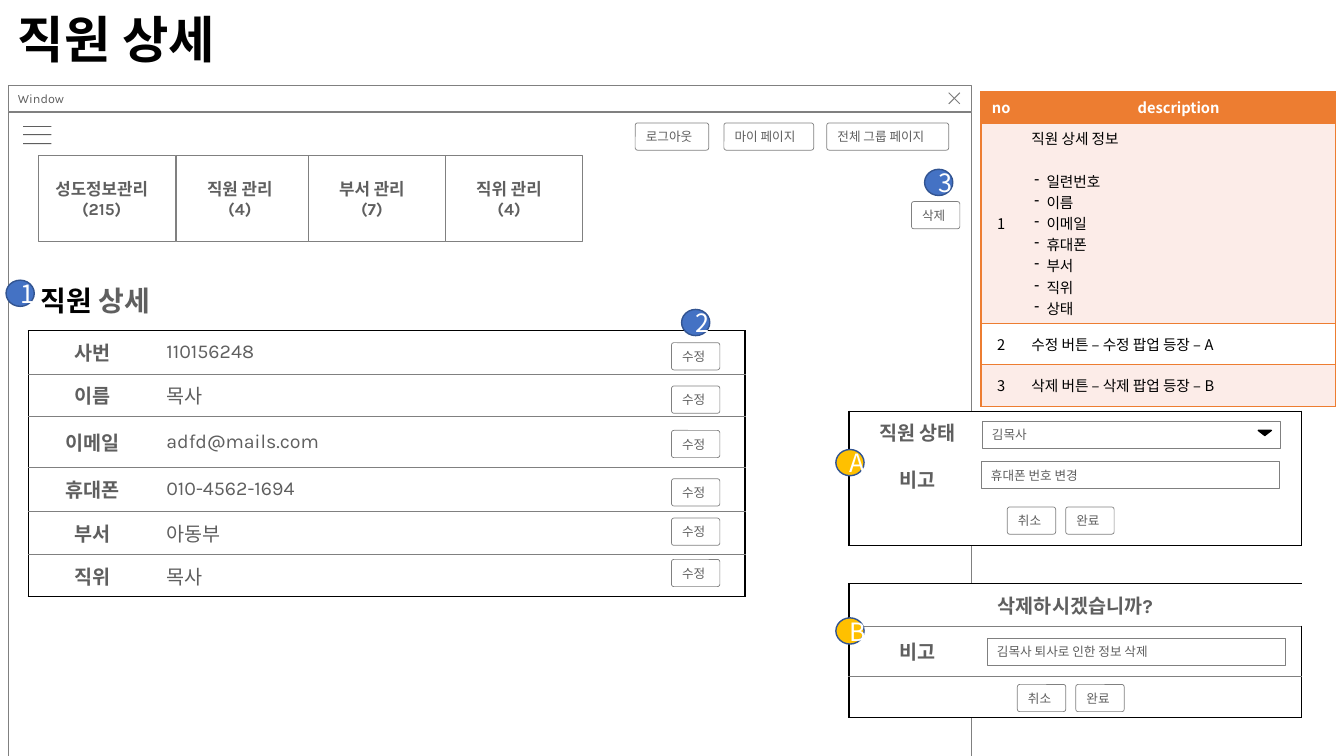
from pptx import Presentation
from pptx.dml.color import RGBColor
from pptx.enum.shapes import MSO_SHAPE as Kind
from pptx.enum.text import MSO_ANCHOR as Anchor, PP_ALIGN as Align
from pptx.oxml.ns import qn
from pptx.util import Pt
from lxml.etree import SubElement

PX = 9144
KARLA, NOTO = "Karla", "Noto Sans CJK KR"
BLACK, WHITE, GRAY, TEXT = "000000", "FFFFFF", "808080", "5F5F5F"
ORANGE, PINK, BLUE, GOLD, NAVY = "ED7D31", "FCECE8", "4472C4", "FFC000", "325491"
THIN = (GRAY, 0.5)


def tint(fmt, color):
    fmt.solid()
    fmt.fore_color.rgb = RGBColor.from_string(color)


def style(frame, size, color=TEXT, font=KARLA, bold=False, align=Align.LEFT):
    for para in frame.paragraphs:
        para.alignment = align
        for run in para.runs:
            run.font.size = Pt(size)
            run.font.bold = bold
            run.font.name = font
            tint(run.font.fill, color)
            east = SubElement(run.font._element, qn("a:ea"))
            east.set("typeface", NOTO)


def inset(frame, left, top, right, low):
    frame.margin_left, frame.margin_top = left * PX, top * PX
    frame.margin_right, frame.margin_bottom = right * PX, low * PX


def shape(slide, kind, box, fill=WHITE, line=THIN):
    item = slide.shapes.add_shape(kind, *(n * PX for n in box))
    item.shadow.inherit = False
    tint(item.fill, fill)
    tint(item.line.fill, line[0])
    item.line.width = Pt(line[1])
    frame = item.text_frame
    frame.word_wrap = True
    frame.vertical_anchor = Anchor.MIDDLE
    return item


def panel(slide, box, text, pad, size=9, **look):
    frame = shape(slide, Kind.RECTANGLE, box).text_frame
    frame.text = text
    inset(frame, *pad)
    style(frame, size, **look)


def button(slide, x, y, text, width=48):
    item = shape(slide, Kind.ROUNDED_RECTANGLE, (x, y, width, 27))
    item.adjustments[0] = 0.09
    item.text_frame.text = text
    inset(item.text_frame, 10, 5, 5, 5)
    style(item.text_frame, 9)


def field(slide, x, y, text):
    panel(slide, (x, y, 296, 27), text, (10, 6, 10, 6))


def badge(slide, x, y, text, fill=BLUE):
    frame = shape(slide, Kind.OVAL, (x, y, 28, 26), fill, (NAVY, 1)).text_frame
    frame.text = text
    style(frame, 18, WHITE, NOTO, align=Align.CENTER)


def label(slide, box, text):
    frame = slide.shapes.add_textbox(*(n * PX for n in box)).text_frame
    frame.word_wrap = True
    frame.text = text
    return frame


def sketch(slide, paths, close):
    pen = slide.shapes.build_freeform(*paths[0][0], scale=PX)
    for path in paths:
        pen.move_to(*path[0])
        pen.add_line_segments(path[1:], close=close)
    item = pen.convert_to_shape()
    item.shadow.inherit = False
    return item


def edge(cell, side, line):
    ln = SubElement(cell._tc.get_or_add_tcPr(), qn("a:ln" + side))
    if not line:
        SubElement(ln, qn("a:noFill"))
        return
    ln.set("w", str(Pt(line[1])))
    SubElement(SubElement(ln, qn("a:solidFill")), qn("a:srgbClr")).set("val", line[0])


def grid(slide, x, y, cols, rows, rim, rule):
    size = (sum(cols) * PX, sum(rows) * PX)
    frame = slide.shapes.add_table(len(rows), len(cols), x * PX, y * PX, *size)
    table = frame.table
    table.first_row = table.horz_banding = False
    for col, width in zip(table.columns, cols):
        col.width = width * PX
    for row, height in zip(table.rows, rows):
        row.height = height * PX
    right, low = len(cols) - 1, len(rows) - 1
    for r in range(len(rows)):
        for c in range(len(cols)):
            cell = table.cell(r, c)
            edge(cell, "L", rim if c == 0 else None)
            edge(cell, "R", rim if c == right else None)
            edge(cell, "T", rim if r == 0 else rule)
            edge(cell, "B", rim if r == low else rule)
            tint(cell.fill, WHITE)
            cell.vertical_anchor = Anchor.MIDDLE
            if not cell.text:
                end = SubElement(cell.text_frame.paragraphs[0]._p, qn("a:endParaRPr"))
                end.set("sz", "1200")
    return table


def write(cell, text, size=14, **look):
    cell.text_frame.text = text
    style(cell.text_frame, size, **look)


def window(slide):
    shape(slide, Kind.RECTANGLE, (8, 111, 956, 639))
    panel(slide, (8, 85, 956, 26), "Window", (10, 5, 25, 5))
    cross = sketch(slide, [[(952, 92), (941, 103)], [(941, 92), (952, 103)]], False)
    cross.fill.background()
    tint(cross.line.fill, GRAY)
    cross.line.width = Pt(0.75)


def detail(slide):
    data = [("사번", "110156248"), ("이름", "목사"), ("이메일", "adfd@mails.com"),
            ("휴대폰", "010-4562-1694"), ("부서", "아동부"), ("직위", "목사")]
    table = grid(slide, 28, 328, (127, 475, 109), (43, 42, 51, 43, 43, 42), (BLACK, 1), THIN)
    for r, (name, value) in enumerate(data):
        write(table.cell(r, 0), name, bold=True, align=Align.CENTER)
        write(table.cell(r, 1), value)


def notes(slide):
    items = ["일련번호", "이름", "이메일", "휴대폰", "부서", "직위", "상태"]
    data = [("no", "description"), ("1", "\n".join(["직원 상세 정보"] + items)),
            ("2", "수정 버튼 – 수정 팝업 등장 – A"), ("3", "삭제 버튼 – 삭제 팝업 등장 – B")]
    rim = (ORANGE, 1)
    table = grid(slide, 973, 91, (40, 312), (31, 199, 41, 41), rim, rim)
    for r, pair in enumerate(data):
        for c, text in enumerate(pair):
            cell = table.cell(r, c)
            tint(cell.fill, (ORANGE, PINK, WHITE, PINK)[r])
            mid = Align.CENTER if r == 0 or c == 0 else Align.LEFT
            write(cell, text, 10.5, color=BLACK if r else WHITE, font=NOTO,
                  bold=r == 0, align=mid)
            if r == 0:
                cell.vertical_anchor = Anchor.TOP
    first, *rest = table.cell(1, 1).text_frame.paragraphs
    first.space_after = Pt(15)
    for para in rest:
        props = para._p.get_or_add_pPr()
        props.set("marL", str(15 * PX))
        props.set("indent", str(-12 * PX))
        SubElement(props, qn("a:buChar")).set("char", "-")


def popup(slide, y, rule):
    return grid(slide, 842, y, (136, 244, 69), (42, 50, 41), (BLACK, 1), rule)


def main():
    deck = Presentation()
    deck.slide_width, deck.slide_height = 1333 * PX, 750 * PX
    slide = deck.slides.add_slide(deck.slide_layouts[6])

    window(slide)
    detail(slide)
    badge(slide, 6, 278, "1")
    title = label(slide, (8, 10, 795, 73), "직원 상세")
    style(title, 36, BLACK, NOTO, True)
    title.paragraphs[0].line_spacing = 0.9
    notes(slide)
    button(slide, 904, 200, "삭제")
    badge(slide, 917, 168, "3")

    bars = [[(23, y), (51, y), (51, y + 1), (23, y + 1)] for y in (125, 133, 142)]
    menu = sketch(slide, bars, True)
    tint(menu.fill, TEXT)
    menu.line.fill.background()

    for x, width, text in ((630, 73, "로그아웃"), (718, 89, "마이 페이지"),
                           (820, 121, "전체 그룹 페이지")):
        button(slide, x, 122, text, width)
    for y in (340, 383, 427, 475, 514, 555):
        button(slide, 666, y, "수정")
    badge(slide, 676, 307, "2")

    edit = popup(slide, 408, None)
    for r, text in enumerate(("직원 상태", "비고")):
        write(edit.cell(r, 0), text, bold=True, align=Align.CENTER)
    field(slide, 974, 418, "김목사")
    field(slide, 973, 458, "휴대폰 번호 변경")
    shape(slide, Kind.FLOWCHART_MERGE, (1248, 427, 13, 5), BLACK, (BLACK, 1))

    drop = popup(slide, 579, THIN)
    drop.cell(0, 0).merge(drop.cell(0, 2))
    for r, text in enumerate(("삭제하시겠습니까?", "비고")):
        write(drop.cell(r, 0), text, bold=True, align=Align.CENTER)
    field(slide, 979, 633, "김목사 퇴사로 인한 정보 삭제")

    for x, y in ((999, 503), (1009, 679)):
        button(slide, x, y, "취소")
        button(slide, x + 58, y, "완료")
    badge(slide, 829, 613, "B", GOLD)
    badge(slide, 829, 446, "A", GOLD)

    for x, text in ((38, "성도정보관리\n(215)"), (175, "직원 관리\n(4)"),
                    (306, "부서 관리\n(7)"), (442, "직위 관리\n(4)")):
        panel(slide, (x, 154, 136, 86), text, (10, 5, 20, 5), 12,
              bold=True, align=Align.CENTER)

    head = label(slide, (32, 277, 281, 42), "직원")
    inset(head, 8, 4, 8, 4)
    head.paragraphs[0].add_run().text = " 상세"
    style(head, 20, bold=True)
    first = head.paragraphs[0].runs[0].font
    first.name = NOTO
    tint(first.fill, BLACK)

    deck.save("out.pptx")


if __name__ == "__main__":
    main()
